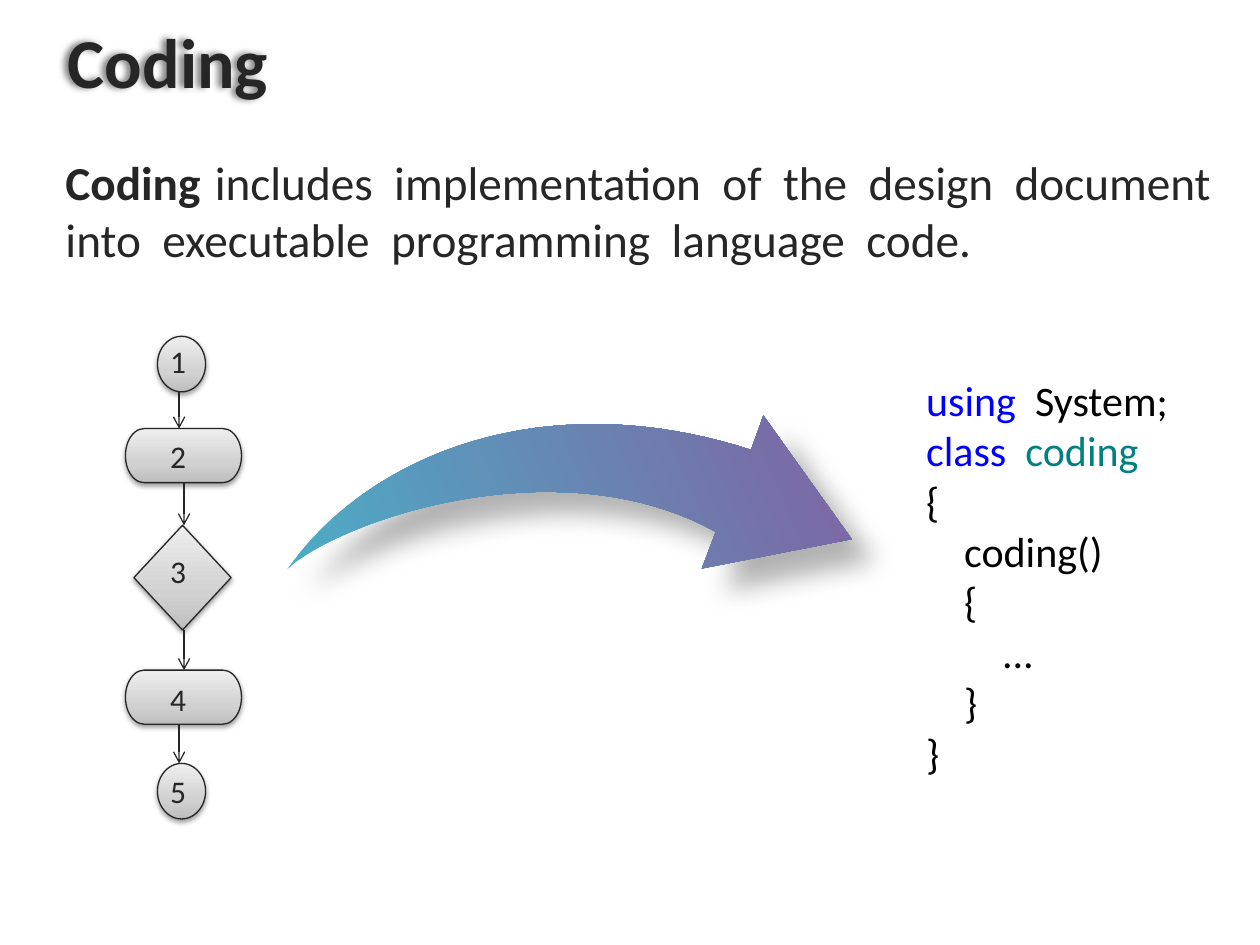
"""Build the Coding slide: a flowchart turning into source code."""
from lxml.etree import SubElement
from pptx import Presentation
from pptx.dml.color import RGBColor
from pptx.enum.shapes import MSO_CONNECTOR, MSO_SHAPE
from pptx.oxml.ns import qn
from pptx.util import Cm, Pt

COLORS = {"ink": "262626", "outline": "252525", "keyword": "0000FF",
          "type": "008080", "code": "000000", "shadow": "000000",
          "dark": "BEBEBE", "mid": "D1D1D1", "light": "EEEEEE",
          "teal": "4BACC6", "purple": "8064A2"}

TITLE = [[("Coding", {"bold": True})]]
DEFINITION = [
    [("Coding", {"bold": True}), ("  ", {"size": 18}),
     ("includes  implementation  of  the  design  document", {})],
    [("into  executable  programming  language  code.", {})],
]
CODE = [
    [("using", {"color": "keyword"}), ("  System;", {})],
    [("class  ", {"color": "keyword"}), ("coding", {"color": "type"})],
    *[[(line, {})] for line in
      ("{", "    coding()", "    {", "        ...", "    }", "}")],
]

KINDS = {"end": (MSO_SHAPE.FLOWCHART_CONNECTOR, 3.66, 0.97, 1.12),
         "step": (MSO_SHAPE.FLOWCHART_TERMINATOR, 3.7, 2.34, 1.09),
         "choice": (MSO_SHAPE.FLOWCHART_DECISION, 3.68, 1.96, 2.11)}
NODES = [("1", "end", 6.78, 6.78), ("2", "step", 8.64, 8.69),
         ("3", "choice", 10.59, 11.0), ("4", "step", 13.51, 13.59),
         ("5", "end", 15.39, 15.44)]
LINK_X = [3.61, 3.71, 3.71, 3.61]

OUTER_CURVE = [(5.79, 11.48), (7.42, 9.17), (10.97, 7.72), (15.14, 9.07)]
ARROWHEAD = [(15.39, 8.38), (17.17, 10.87), (14.15, 11.46)]
INNER_CURVE = [(14.43, 10.72), (11.2, 8.94), (6.76, 10.54), (5.79, 11.48)]


def rgb(name):
    return RGBColor.from_string(COLORS[name])


def add_text(slide, box, paragraphs, size=18, color="ink", bold=False, wrap=True):
    text_box = slide.shapes.add_textbox(*map(Cm, box))
    frame = text_box.text_frame
    frame.word_wrap = wrap
    for index, runs in enumerate(paragraphs):
        paragraph = frame.paragraphs[0] if index == 0 else frame.add_paragraph()
        for words, style in runs:
            run = paragraph.add_run()
            run.text = words
            run.font.name = "Calibri"
            run.font.size = Pt(style.get("size", size))
            run.font.bold = style.get("bold", bold)
            run.font.color.rgb = rgb(style.get("color", color))
    return text_box


def add_color(parent, name, alpha=100):
    color = SubElement(parent, qn("a:srgbClr"), val=COLORS[name])
    if alpha < 100:
        SubElement(color, qn("a:alpha"), val=str(alpha * 1000))


def set_gradient(shape, stops, angle):
    shape.fill.gradient()
    shape.fill.gradient_angle = angle
    stop_list = shape.element.spPr.find(".//" + qn("a:gsLst"))
    for old in list(stop_list):
        stop_list.remove(old)
    for position, name in stops:
        add_color(SubElement(stop_list, qn("a:gs"), pos=str(position * 1000)), name)


def set_shadow(shape, alpha, blur, distance, direction):
    shape.shadow.inherit = False
    effects = shape.element.spPr.find(qn("a:effectLst"))
    shadow = SubElement(effects, qn("a:outerShdw"), blurRad=str(Pt(blur)),
                        dist=str(Pt(distance)), dir=str(direction * 60000),
                        algn="ctr", rotWithShape="0")
    add_color(shadow, "shadow", alpha)


def set_outline(line):
    line.color.rgb = rgb("outline")
    line.width = Pt(0.75)


def add_node(slide, kind, top):
    preset, center, width, height = KINDS[kind]
    node = slide.shapes.add_shape(
        preset, Cm(center - width / 2), Cm(top), Cm(width), Cm(height))
    set_gradient(node, [(0, "dark"), (35, "mid"), (100, "light")], 90)
    set_outline(node.line)
    set_shadow(node, 38, 3.1, 1.6, 90)


def add_link(slide, x, top, bottom):
    link = slide.shapes.add_connector(
        MSO_CONNECTOR.STRAIGHT, Cm(x), Cm(top), Cm(x), Cm(bottom))
    set_outline(link.line)
    SubElement(link.line._get_or_add_ln(), qn("a:tailEnd"), type="arrow")
    SubElement(link._element.spPr, qn("a:effectLst"))


def trace_curve(controls, steps=40):
    points = []
    for step in range(steps + 1):
        t = step / steps
        weights = ((1 - t) ** 3, 3 * t * (1 - t) ** 2, 3 * t * t * (1 - t), t ** 3)
        points.append(tuple(sum(w * c[axis] for w, c in zip(weights, controls))
                            for axis in (0, 1)))
    return points


def add_swoosh(slide):
    outline = trace_curve(OUTER_CURVE) + ARROWHEAD + trace_curve(INNER_CURVE)
    start, *rest = [(Cm(x), Cm(y)) for x, y in outline]
    builder = slide.shapes.build_freeform(*start)
    builder.add_line_segments(rest, close=True)
    swoosh = builder.convert_to_shape()
    set_gradient(swoosh, [(0, "teal"), (100, "purple")], 23.4)
    swoosh.line.fill.background()
    set_shadow(swoosh, 30, 15, 18, 45)


def main():
    deck = Presentation()
    deck.slide_width, deck.slide_height = Cm(25.4), Cm(19.05)
    slide = deck.slides.add_slide(deck.slide_layouts[6])

    title = add_text(slide, (1.12, 0.25, 4.6, 1.96), TITLE, size=40, wrap=False)
    set_shadow(title, 50, 4, 3, 190)
    add_text(slide, (1.07, 2.97, 24.2, 2.57), DEFINITION, size=27)

    for _, kind, top, _ in NODES:
        add_node(slide, kind, top)
    for x, (_, kind, top, _), (_, _, next_top, _) in zip(LINK_X, NODES, NODES[1:]):
        add_link(slide, x, top + KINDS[kind][3], next_top)
    for number, _, _, label_top in NODES:
        add_text(slide, (3.18, label_top, 1.07, 1.02), [[(number, {})]])

    add_swoosh(slide)
    add_text(slide, (18.42, 7.42, 6.98, 8.46), CODE, size=24, color="code")
    deck.save("out.pptx")


if __name__ == "__main__":
    main()
